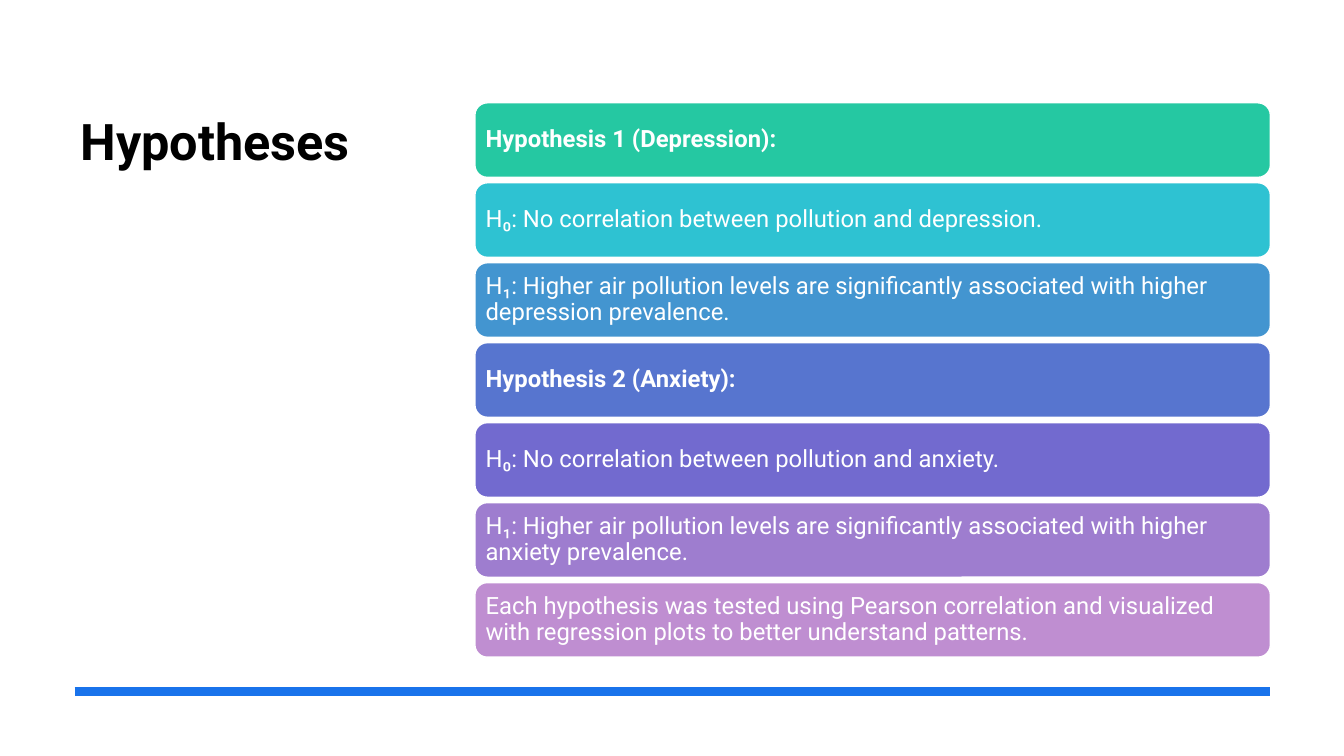
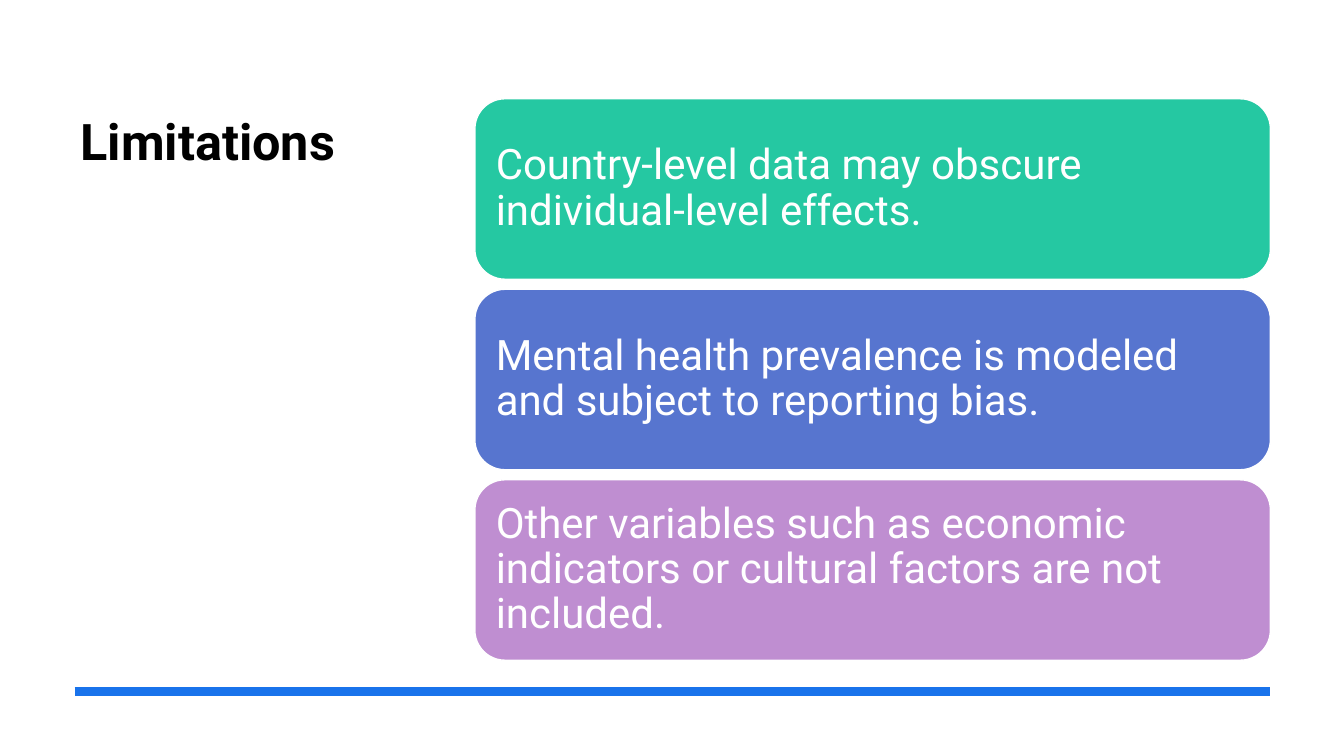
from pptx import Presentation
from pptx.dml.color import RGBColor
from pptx.enum import shapes, text
from pptx.oxml import parse_xml
from pptx.oxml.ns import nsdecls
from pptx.util import Inches, Pt


def rgb(code):
    return RGBColor.from_string(code)


class Deck:
    font = "Roboto"
    black, white, blue = "000000", "FFFFFF", "1973EB"
    hues = ["25C8A2", "2EC2D2", "4395D0", "5775CF", "726ACF", "9E7DCF", "BF8ED1"]
    left, right = 4.71, 12.6

    def __init__(self):
        self.prs = Presentation()
        self.prs.slide_width = Inches(13.33)
        self.prs.slide_height = Inches(7.5)
        self.slide = None

    def page(self, title):
        """Start a slide with its title and the rule at the foot."""
        self.slide = self.prs.slides.add_slide(self.prs.slide_layouts[6])
        box = self.slide.shapes.add_textbox(
            Inches(0.7), Inches(1.04), Inches(3.28), Inches(4.5))
        self.label(box.text_frame, title, 36, self.black, True)
        self.rule()

    def rule(self):
        y = Inches(6.86)
        line = self.slide.shapes.add_connector(
            shapes.MSO_CONNECTOR.STRAIGHT, Inches(0.74), y, Inches(self.right), y)
        line.line.color.rgb = rgb(self.blue)
        line.line.width = Pt(6)
        line._element.spPr.append(parse_xml(f"<a:effectLst {nsdecls('a')}/>"))

    def label(self, frame, words, size, color, bold=False):
        frame.word_wrap = True
        frame.text = words
        par = frame.paragraphs[0]
        par.alignment = text.PP_ALIGN.LEFT
        for run in par.runs:
            run.font.name = self.font
            run.font.size = Pt(size)
            run.font.bold = bold
            run.font.color.rgb = rgb(color)

    def card(self, top, height, fill, words, size, inset):
        """Add a rounded bar; words that end in a colon are a heading."""
        card = self.slide.shapes.add_shape(
            shapes.MSO_SHAPE.ROUNDED_RECTANGLE, Inches(self.left), Inches(top),
            Inches(self.right - self.left), Inches(height))
        card.shadow.inherit = False
        card.fill.solid()
        card.fill.fore_color.rgb = rgb(fill)
        card.line.color.rgb = rgb(self.white)
        card.line.width = Pt(1)
        frame = card.text_frame
        frame.margin_left = frame.margin_right = Inches(inset)
        frame.margin_top = frame.margin_bottom = Inches(inset)
        frame.vertical_anchor = text.MSO_ANCHOR.MIDDLE
        self.label(frame, words, size, self.white, words.endswith(":"))
        frame.paragraphs[0].line_spacing = 0.9

    def stack(self, items, fills, top, bottom, height, size, inset):
        """Spread cards evenly from top to bottom."""
        step = (bottom - top - height) / (len(items) - 1)
        for i, (words, fill) in enumerate(zip(items, fills)):
            self.card(top + i * step, height, fill, words, size, inset)


def main():
    deck = Deck()

    deck.page("Hypotheses")
    deck.stack([
        "Hypothesis 1 (Depression):",
        "H₀: No correlation between pollution and depression.",
        "H₁: Higher air pollution levels are significantly associated "
        "with higher depression prevalence.",
        "Hypothesis 2 (Anxiety):",
        "H₀: No correlation between pollution and anxiety.",
        "H₁: Higher air pollution levels are significantly associated "
        "with higher anxiety prevalence.",
        "Each hypothesis was tested using Pearson correlation and visualized "
        "with regression plots to better understand patterns.",
    ], deck.hues, top=1.02, bottom=6.52, height=0.74, size=17, inset=0.07)

    deck.page("Limitations")
    deck.stack([
        "Country-level data may obscure individual-level effects.",
        "Mental health prevalence is modeled and subject to reporting bias.",
        "Other variables such as economic indicators or cultural factors "
        "are not included.",
    ], deck.hues[::3], top=0.98, bottom=6.55, height=1.79, size=30, inset=0.12)

    deck.prs.save("out.pptx")


if __name__ == "__main__":
    main()
